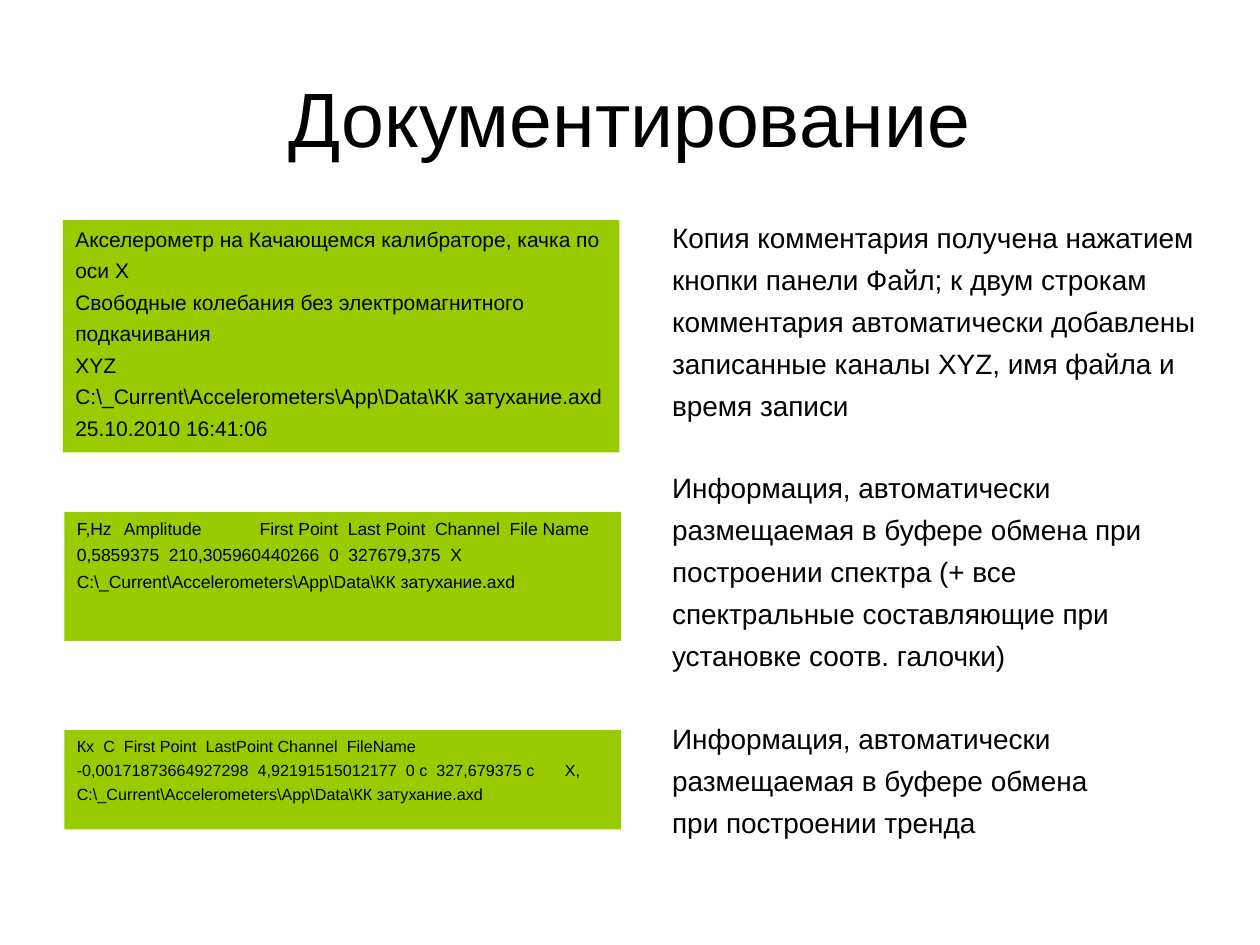
from lxml import etree
from pptx import Presentation
from pptx.dml.color import RGBColor
from pptx.enum import shapes, text
from pptx.oxml.ns import qn
from pptx.util import Cm, Pt

BLACK = RGBColor(0x00, 0x00, 0x00)
GREEN = RGBColor(0x99, 0xCC, 0x00)
FONT = "Arial"
INDENT = Cm(0.95)
TAB_STEP = Cm(2.54)
TAB_COUNT = 8
SPACE_RATIO = 0.3  # space before a line, as a share of the text size
GROUP_SPACE = Pt(28)

TITLE = "Документирование"
DATA_FILE = "C:\\_Current\\Accelerometers\\App\\Data\\КК затухание.axd"

# left, top, width, height in cm; text size in points; lines
SAMPLES = [
    ((1.27, 4.44, 11.22, 4.68), 12, [
        "Акселерометр на Качающемся калибраторе, качка по",
        "оси X",
        "Свободные колебания без электромагнитного",
        "подкачивания",
        "XYZ",
        DATA_FILE,
        "25.10.2010 16:41:06",
    ]),
    ((1.3, 10.32, 11.22, 2.6), 10, [
        "F,Hz\tAmplitude\t  First Point  Last Point  Channel  File Name",
        "0,5859375  210,305960440266  0  327679,375  X",
        DATA_FILE,
    ]),
    ((1.3, 14.72, 11.22, 2.0), 9.2, [
        "Кх  С  First Point  LastPoint Channel  FileName",
        "-0,00171873664927298  4,92191515012177  0 с  327,679375 с\tX,",
        DATA_FILE,
    ]),
]

COMMENTS_BOX = (13.3, 4.32, 11.43, 12.57)
COMMENTS_SIZE = 16
COMMENTS = [
    ["Копия комментария получена нажатием",
     "кнопки панели Файл; к двум строкам",
     "комментария автоматически добавлены",
     "записанные каналы XYZ, имя файла и",
     "время записи"],
    ["Информация, автоматически",
     "размещаемая в буфере обмена при",
     "построении спектра (+ все",
     "спектральные составляющие при",
     "установке соотв. галочки)"],
    ["Информация, автоматически",
     "размещаемая в буфере обмена",
     "при построении тренда"],
]


def set_font(paragraph, size):
    for run in paragraph.runs:
        run.font.name = FONT
        run.font.size = Pt(size)
        run.font.color.rgb = BLACK


def set_hanging_indent(paragraph):
    properties = paragraph._p.get_or_add_pPr()
    properties.set("marL", str(INDENT))
    properties.set("indent", str(-INDENT))
    tabs = etree.SubElement(properties, qn("a:tabLst"))
    for number in range(TAB_COUNT):
        etree.SubElement(tabs, qn("a:tab"), pos=str(number * TAB_STEP), algn="l")


def write_groups(shape, groups, size):
    """Write each line as a paragraph, with a wider gap between groups."""
    frame = shape.text_frame
    frame.word_wrap = True
    frame.vertical_anchor = text.MSO_ANCHOR.TOP
    frame.text = "\n".join(line for group in groups for line in group)
    group_starts = {sum(map(len, groups[:i])) for i in range(len(groups))}
    for index, paragraph in enumerate(frame.paragraphs):
        set_hanging_indent(paragraph)
        paragraph.alignment = text.PP_ALIGN.LEFT
        if index in group_starts:
            paragraph.space_before = GROUP_SPACE if index else Pt(0)
        else:
            paragraph.space_before = Pt(size * SPACE_RATIO)
        set_font(paragraph, size)


def main():
    presentation = Presentation()
    presentation.slide_width, presentation.slide_height = Cm(25.4), Cm(19.05)
    slide = presentation.slides.add_slide(presentation.slide_layouts[5])

    title = slide.shapes.title
    title.left, title.top, title.width, title.height = map(Cm, (1.27, 0.76, 22.86, 3.18))
    title.text_frame.text = TITLE
    title.text_frame.vertical_anchor = text.MSO_ANCHOR.MIDDLE
    title.text_frame.paragraphs[0].alignment = text.PP_ALIGN.CENTER
    set_font(title.text_frame.paragraphs[0], 44)

    for box, size, lines in SAMPLES:
        panel = slide.shapes.add_shape(shapes.MSO_SHAPE.RECTANGLE, *map(Cm, box))
        panel.shadow.inherit = False
        panel.fill.solid()
        panel.fill.fore_color.rgb = GREEN
        panel.line.fill.background()
        write_groups(panel, [lines], size)

    comments = slide.shapes.add_textbox(*map(Cm, COMMENTS_BOX))
    write_groups(comments, COMMENTS, COMMENTS_SIZE)

    presentation.save("out.pptx")


if __name__ == "__main__":
    main()
